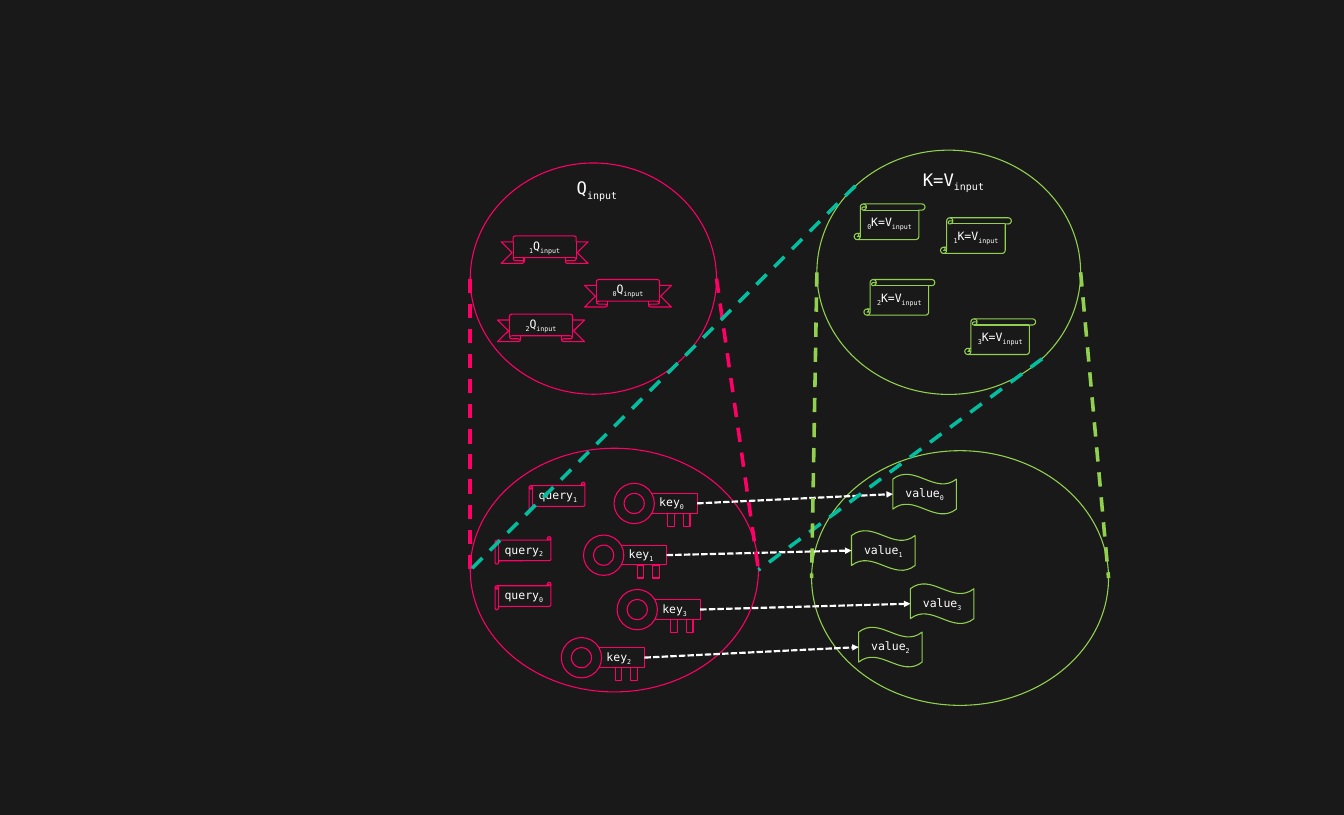
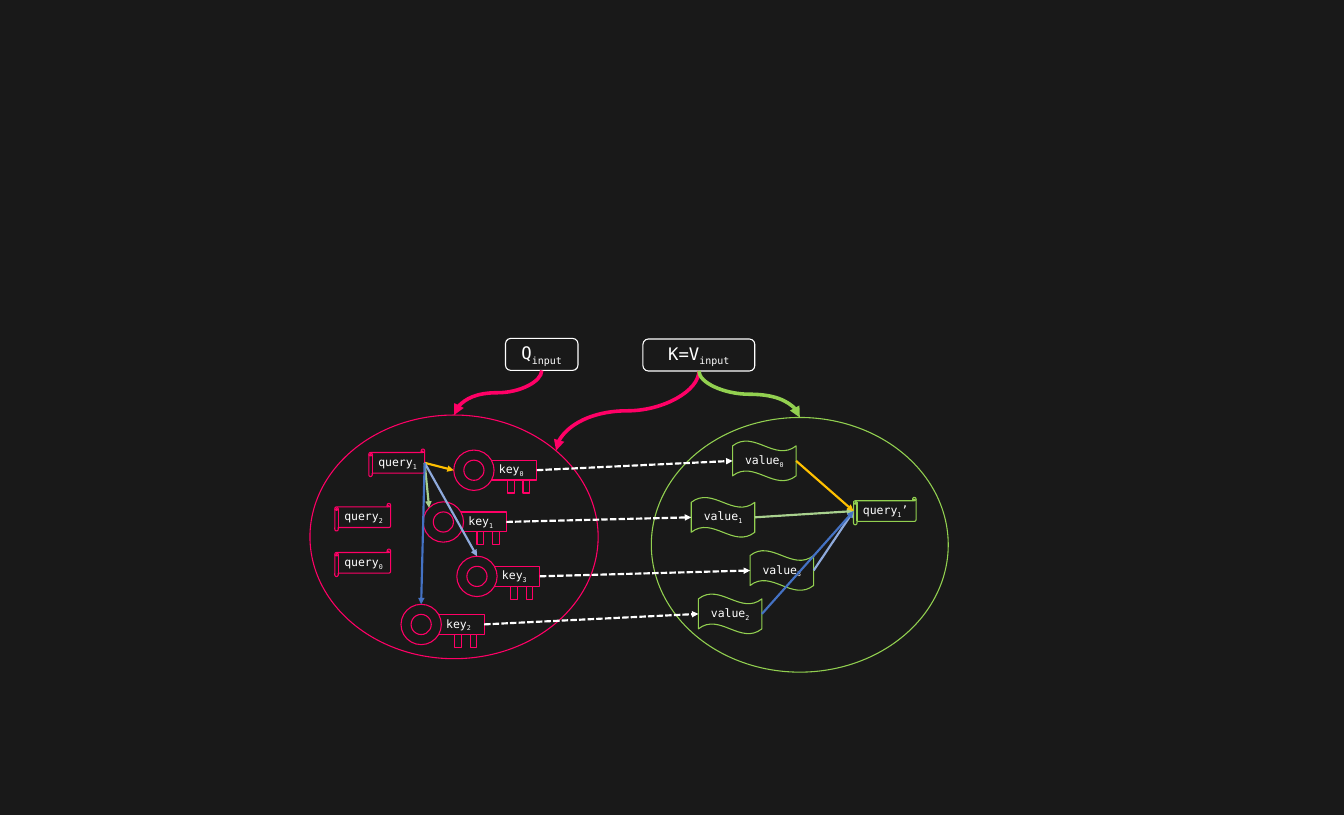
from pptx import Presentation
from pptx.dml.color import RGBColor
from pptx.enum.dml import MSO_LINE
from pptx.enum.shapes import MSO_CONNECTOR, MSO_SHAPE
from pptx.enum.text import MSO_ANCHOR, PP_ALIGN
from pptx.oxml.ns import qn
from pptx.util import Cm, Pt
from lxml.etree import SubElement

DARK = RGBColor(0x19, 0x19, 0x19)
WHITE = RGBColor(0xFF, 0xFF, 0xFF)
PINK = RGBColor(0xFF, 0x00, 0x66)
GREEN = RGBColor(0x92, 0xD0, 0x50)
TEAL = RGBColor(0x03, 0xBD, 0x9E)
GOLD = RGBColor(0xFF, 0xC0, 0x00)
SAGE = RGBColor(0xA9, 0xD1, 0x8E)
BLUE = RGBColor(0x44, 0x72, 0xC4)
SKY = RGBColor(0x8F, 0xAA, 0xDC)
FONT = "DejaVu Sans Mono"

# Fractions of a shape's box where links attach; DIAG is on an oval's diagonal.
TOP, LEFT, BASE, RIGHT = (0.5, 0), (0, 0.5), (0.5, 1), (1, 0.5)
NEAR, FAR = 0.146, 0.854
DIAG = (NEAR, NEAR)

# Left and top in cm, by index.
QUERIES = {1: (25.98, 23.67), 2: (24.31, 26.34), 0: (24.31, 28.58)}
KEYS = {2: (27.56, 31.29), 0: (30.15, 23.72), 3: (30.3, 28.93), 1: (28.65, 26.26)}
VALUES = {0: (43.84, 23.27), 1: (41.81, 26.04), 3: (44.7, 28.65), 2: (42.16, 30.78)}
RIBBONS = {1: (24.61, 11.58), 2: (24.43, 15.42), 0: (28.7, 13.72)}
SCROLLS = {0: (41.94, 10.01), 1: (46.18, 10.69), 3: (47.37, 15.65), 2: (42.42, 13.72)}
HUES = {1: SAGE, 0: GOLD, 3: SKY, 2: BLUE}


def write(shape, words, size):
    """Centre the words in a shape; a leading underscore marks a subscript."""
    frame = shape.text_frame
    frame.word_wrap = False
    frame.vertical_anchor = MSO_ANCHOR.MIDDLE
    para = frame.paragraphs[0]
    para.alignment = PP_ALIGN.CENTER
    for word in words:
        run = para.add_run()
        run.text = word.lstrip("_")
        run.font.name = FONT
        run.font.size = Pt(size)
        run.font.color.rgb = WHITE
        if word.startswith("_"):
            run.font._element.set("baseline", "-25000")


def draw(slide, kind, box, color, words=(), size=16, tweaks=()):
    """Add an outlined shape; without a colour it has no fill or line."""
    shape = slide.shapes.add_shape(kind, *map(Cm, box))
    shape.shadow.inherit = False
    if color is None:
        shape.fill.background()
        shape.line.fill.background()
    else:
        shape.fill.solid()
        shape.fill.fore_color.rgb = DARK
        shape.line.color.rgb = color
        shape.line.width = Pt(1.5)
    for index, value in enumerate(tweaks):
        shape.adjustments[index] = value
    write(shape, words, size)
    return shape


def spot(shape, part):
    """Give the point at a fraction of a shape's box."""
    across, down = part
    return (int(shape.left + across * shape.width),
            int(shape.top + down * shape.height))


def style(link, color, width, dash=None, arrow=True):
    """Set the line of a link and, if wanted, its arrowhead."""
    link.line.color.rgb = color
    link.line.width = Pt(width)
    if dash is not None:
        link.line.dash_style = dash
    if arrow:
        SubElement(link.line._get_or_add_ln(), qn("a:tailEnd"), type="triangle")
    SubElement(link._element.spPr, qn("a:effectLst"))


def join(slide, start, end, color, width=3, dash=None, arrow=True):
    """Draw a straight link between two points."""
    link = slide.shapes.add_connector(MSO_CONNECTOR.STRAIGHT, *start, *end)
    style(link, color, width, dash, arrow)


def bend(slide, start, end, color):
    """Draw a curved arrow that leaves and arrives vertically."""
    (x1, y1), (x2, y2) = start, end
    mid_x, mid_y = (x1 + x2) // 2, (y1 + y2) // 2
    rise, run = (y2 - y1) // 2, abs(x2 - x1) // 2
    turn = 90
    if x2 > x1:
        rise, turn = -rise, 270
    link = slide.shapes.add_connector(
        MSO_CONNECTOR.CURVE, mid_x - rise, mid_y - run, mid_x + rise, mid_y + run)
    link._element.spPr.find(qn("a:xfrm")).set("rot", str(turn * 60000))
    style(link, color, 5)


def make_key(slide, x, y, index):
    """Draw a key from a labelled stem, two teeth and a ring."""
    stem = draw(slide, MSO_SHAPE.RECTANGLE, (x + 1.57, y + 0.5, 2.51, 0.97),
                PINK, ("key", f"_{index}"))
    for shift in (2.64, 3.4):
        draw(slide, MSO_SHAPE.RECTANGLE, (x + shift, y + 1.47, 0.33, 0.64), PINK)
    ring = draw(slide, MSO_SHAPE.DONUT, (x, y, 1.98, 1.98), PINK)
    return stem, ring


def draw_map(slide, dx=0, dy=0):
    """Draw the key and value spaces, moved by dx and dy, and return the parts."""
    goal = draw(slide, MSO_SHAPE.OVAL, (39.85 + dx, 22.12 + dy, 14.58, 12.5), GREEN)
    home = draw(slide, MSO_SHAPE.OVAL, (23.09 + dx, 22 + dy, 14.15, 11.96), PINK)
    queries = {
        i: draw(slide, MSO_SHAPE.HORIZONTAL_SCROLL, (x + dx, y + dy, 2.74, 1.35),
                PINK, ("query", f"_{i}"))
        for i, (x, y) in QUERIES.items()}
    keys = {i: make_key(slide, x + dx, y + dy, i) for i, (x, y) in KEYS.items()}
    values = {
        i: draw(slide, MSO_SHAPE.WAVE, (x + dx, y + dy, 3.12, 1.96),
                GREEN, ("value", f"_{i}"))
        for i, (x, y) in VALUES.items()}
    for i, (stem, _) in keys.items():
        join(slide, spot(stem, RIGHT), spot(values[i], LEFT), WHITE,
             dash=MSO_LINE.SQUARE_DOT)
    rings = {i: ring for i, (_, ring) in keys.items()}
    return home, goal, queries[1], rings, values


def label(slide, x, y, width, word, color=None):
    """Add the name of an input, boxed if it has a colour."""
    return draw(slide, MSO_SHAPE.ROUNDED_RECTANGLE, (x, y, width, 1.57),
                color, (word, "_input"), 24)


def show_spaces(slide):
    """Show how the input spaces project onto queries, keys and values."""
    home, goal, *_ = draw_map(slide)
    pairs = draw(slide, MSO_SHAPE.OVAL, (40.11, 7.37, 12.95, 11.99), GREEN)
    label(slide, 44.07, 8.1, 5.49, "K=V")
    source = draw(slide, MSO_SHAPE.OVAL, (23.09, 8, 12.09, 11.35), PINK)
    label(slide, 27.53, 8.51, 3.56, "Q")
    for i, (x, y) in RIBBONS.items():
        draw(slide, MSO_SHAPE.UP_RIBBON, (x, y, 4.27, 1.35), PINK,
             (f"_{i}", "Q", "_input"), tweaks=(0.214, 0.725))
    for i, (x, y) in SCROLLS.items():
        draw(slide, MSO_SHAPE.VERTICAL_SCROLL, (x, y, 3.48, 1.75), GREEN,
             (f"_{i}", "K=V", "_input"), tweaks=(0.173,))
    for first, part, last, side, color in (
            (source, LEFT, home, LEFT, PINK),
            (source, RIGHT, home, RIGHT, PINK),
            (pairs, DIAG, home, LEFT, TEAL),
            (pairs, (FAR, FAR), home, RIGHT, TEAL),
            (pairs, RIGHT, goal, RIGHT, GREEN),
            (pairs, LEFT, goal, LEFT, GREEN)):
        join(slide, spot(first, part), spot(last, side), color, 5,
             MSO_LINE.DASH, False)


def show_lookup(slide):
    """Show one query matched with all keys and rebuilt from the values."""
    home, goal, query, rings, values = draw_map(slide, -7.87, -1.63)
    ask = label(slide, 24.82, 16.61, 3.56, "Q", WHITE)
    pair = label(slide, 31.57, 16.64, 5.49, "K=V", WHITE)
    bend(slide, spot(ask, BASE), spot(home, TOP), PINK)
    bend(slide, spot(pair, BASE), spot(home, (FAR, NEAR)), PINK)
    bend(slide, spot(pair, BASE), spot(goal, TOP), GREEN)
    result = draw(slide, MSO_SHAPE.HORIZONTAL_SCROLL, (41.91, 24.41, 3.07, 1.35),
                  GREEN, ("query", "_1", "’"))
    ends = {0: LEFT, 1: DIAG, 2: TOP, 3: TOP}
    for i, color in HUES.items():
        join(slide, spot(query, RIGHT), spot(rings[i], ends[i]), color)
        join(slide, spot(values[i], RIGHT), spot(result, LEFT), color)


def main():
    """Build and save both slides."""
    deck = Presentation()
    deck.slide_width, deck.slide_height = Cm(65.99), Cm(40)
    fill = deck.slide_master.background.fill
    fill.solid()
    fill.fore_color.rgb = DARK
    for show in (show_spaces, show_lookup):
        show(deck.slides.add_slide(deck.slide_layouts[6]))
    deck.save("out.pptx")


main()
